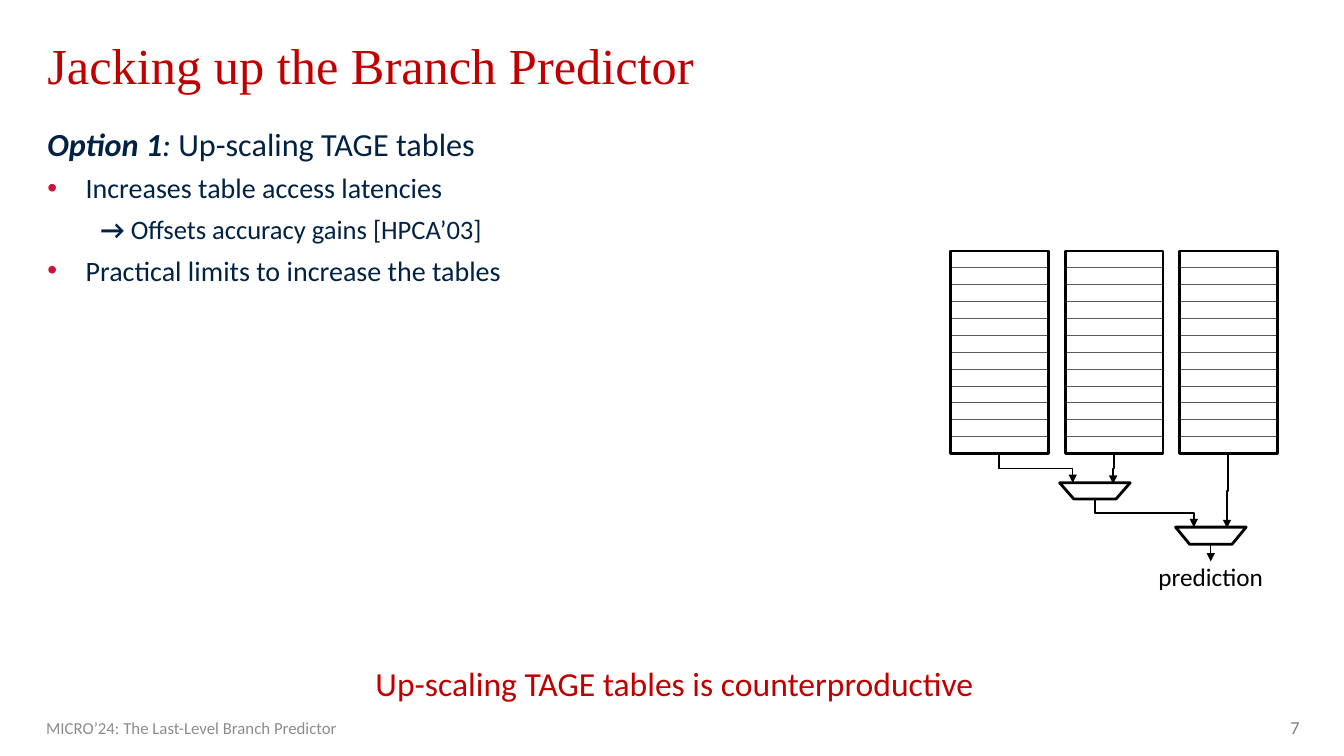
from lxml import etree
from pptx import Presentation
from pptx.dml.color import RGBColor
from pptx.enum.shapes import MSO_CONNECTOR as Link, MSO_SHAPE as Shape
from pptx.enum.text import MSO_ANCHOR as Anchor, PP_ALIGN as Align
from pptx.oxml.ns import qn
from pptx.util import Inches, Pt

NAVY, RED, BLACK, WHITE = "002244", "C00000", "000000", "FFFFFF"
BULLET_RED, ROW_GRAY = "CF103A", "595959"
INSETS = (0.11, 0.06)

TITLE = "Jacking up the Branch Predictor"
BODY = [
    (23, None, [("Option 1", True, True), (": ", False, True),
                ("Up-scaling TAGE tables", False, False)]),
    (20, "bullet", [("Increases table access latencies", False, False)]),
    (19, "indent", [("→ ", True, False),
                    ("Offsets accuracy gains [HPCA’03]", False, False)]),
    (20, "bullet", [("Practical limits to increase the tables", False, False)]),
]
CONCLUSION = "Up-scaling TAGE tables is counterproductive"
FOOTER = "MICRO’24: The Last-Level Branch Predictor"

TABLE_COUNT, ROW_COUNT = 3, 12
TABLE_LEFT, TABLE_TOP, TABLE_STEP = 9.43, 2.49, 1.135
TABLE_WIDTH, TABLE_HEIGHT = 0.97, 2.01
MULTIPLEXERS = [(10.51, 4.79, 0.7, 0.16), (11.66, 5.23, 0.7, 0.17)]
ARROWS = [
    ((9.91, 4.5), (10.64, 4.79)),
    ((11.05, 4.5), (11.04, 4.8)),
    ((12.18, 4.5), (12.17, 5.24)),
    ((10.86, 4.95), (11.84, 5.23)),
    ((12.01, 5.4), (12.01, 5.57)),
]


def color(value):
    return RGBColor.from_string(value)


def add_frame(page, place, insets=INSETS, wrap=True):
    frame = page.shapes.add_textbox(*map(Inches, place)).text_frame
    frame.word_wrap = wrap
    frame.margin_left = frame.margin_right = Inches(insets[0])
    frame.margin_top = frame.margin_bottom = Inches(insets[1])
    return frame


def style(para, size, ink, name="Calibri"):
    para.font.size = Pt(size)
    para.font.name = name
    para.font.color.rgb = color(ink)


def add_line(page, place, text, size, ink, name="Calibri", align=Align.LEFT, **options):
    frame = add_frame(page, place, **options)
    para = frame.paragraphs[0]
    para.text = text
    para.alignment = align
    style(para, size, ink, name)
    return frame


def indent(para, kind):
    props = para._p.get_or_add_pPr()
    if kind == "indent":
        props.set("marL", str(Inches(0.53)))
    if kind == "bullet":
        props.set("marL", str(Inches(0.38)))
        props.set("indent", str(-Inches(0.38)))
        tint = etree.SubElement(props, qn("a:buClr"))
        etree.SubElement(tint, qn("a:srgbClr"), val=BULLET_RED)
        etree.SubElement(props, qn("a:buFont"), typeface="Arial")
        etree.SubElement(props, qn("a:buChar"), char="•")


def add_body(page):
    frame = add_frame(page, (0.36, 1.17, 7.73, 5.04))
    for index, (size, kind, spans) in enumerate(BODY):
        para = frame.add_paragraph() if index else frame.paragraphs[0]
        if index:
            para.space_before = Pt(6)
        indent(para, kind)
        style(para, size, NAVY)
        for text, bold, italic in spans:
            span = para.add_run()
            span.text = text
            span.font.bold = bold
            span.font.italic = italic


def add_box(page, kind, place, line, width, fill=WHITE):
    box = page.shapes.add_shape(kind, *map(Inches, place))
    box.shadow.inherit = False
    if fill:
        box.fill.solid()
        box.fill.fore_color.rgb = color(fill)
    else:
        box.fill.background()
    box.line.color.rgb = color(line)
    box.line.width = Pt(width)


def add_arrow(page, start, end):
    run, drop = end[0] - start[0], end[1] - start[1]
    middle_x, middle_y = (start[0] + end[0]) / 2, (start[1] + end[1]) / 2
    rightward = run >= 0
    side = 1 if rightward else -1
    ends = (middle_x + side * drop / 2, middle_y - abs(run) / 2,
            middle_x - side * drop / 2, middle_y + abs(run) / 2)
    arrow = page.shapes.add_connector(Link.ELBOW, *map(Inches, ends))
    arrow.line.color.rgb = color(BLACK)
    arrow.line.width = Pt(1)
    props = arrow._element.spPr
    props.find(qn("a:xfrm")).set("rot", str((270 if rightward else 90) * 60000))
    etree.SubElement(props.find(qn("a:ln")), qn("a:tailEnd"), type="triangle")
    etree.SubElement(props, qn("a:effectLst"))


def add_tables(page):
    row_height = TABLE_HEIGHT / ROW_COUNT
    for table in range(TABLE_COUNT):
        left = TABLE_LEFT + table * TABLE_STEP
        for row in range(ROW_COUNT):
            place = (left, TABLE_TOP + row * row_height, TABLE_WIDTH, row_height)
            add_box(page, Shape.RECTANGLE, place, ROW_GRAY, 0.75)
        outline = (left, TABLE_TOP, TABLE_WIDTH, TABLE_HEIGHT)
        add_box(page, Shape.RECTANGLE, outline, BLACK, 2, fill=None)


def main():
    deck = Presentation()
    deck.slide_width, deck.slide_height = Inches(13.33), Inches(7.5)
    page = deck.slides.add_slide(deck.slide_layouts[6])

    title = add_line(page, (0.36, 0.39, 11.98, 0.66), TITLE, 36, RED, "Times New Roman")
    title.paragraphs[0].line_spacing = 0.8
    add_body(page)
    add_line(page, (0.36, 6.52, 12.66, 0.82), CONCLUSION, 24, RED, align=Align.CENTER)
    footer = add_line(page, (0.36, 7.02, 4.5, 0.4), FOOTER, 12, "8C8C8C", insets=(0.1, 0.05))
    footer.vertical_anchor = Anchor.MIDDLE
    add_line(page, (12.06, 7.05, 0.94, 0.35), "7", 13, "808080", align=Align.RIGHT)

    add_tables(page)
    for place in MULTIPLEXERS:
        add_box(page, Shape.FLOWCHART_MANUAL_OPERATION, place, BLACK, 2)
    for start, end in ARROWS:
        add_arrow(page, start, end)
    add_line(page, (11.49, 5.57, 1.04, 0.3), "prediction", 18, BLACK, insets=(0, 0), wrap=False)

    deck.save("out.pptx")


if __name__ == "__main__":
    main()
